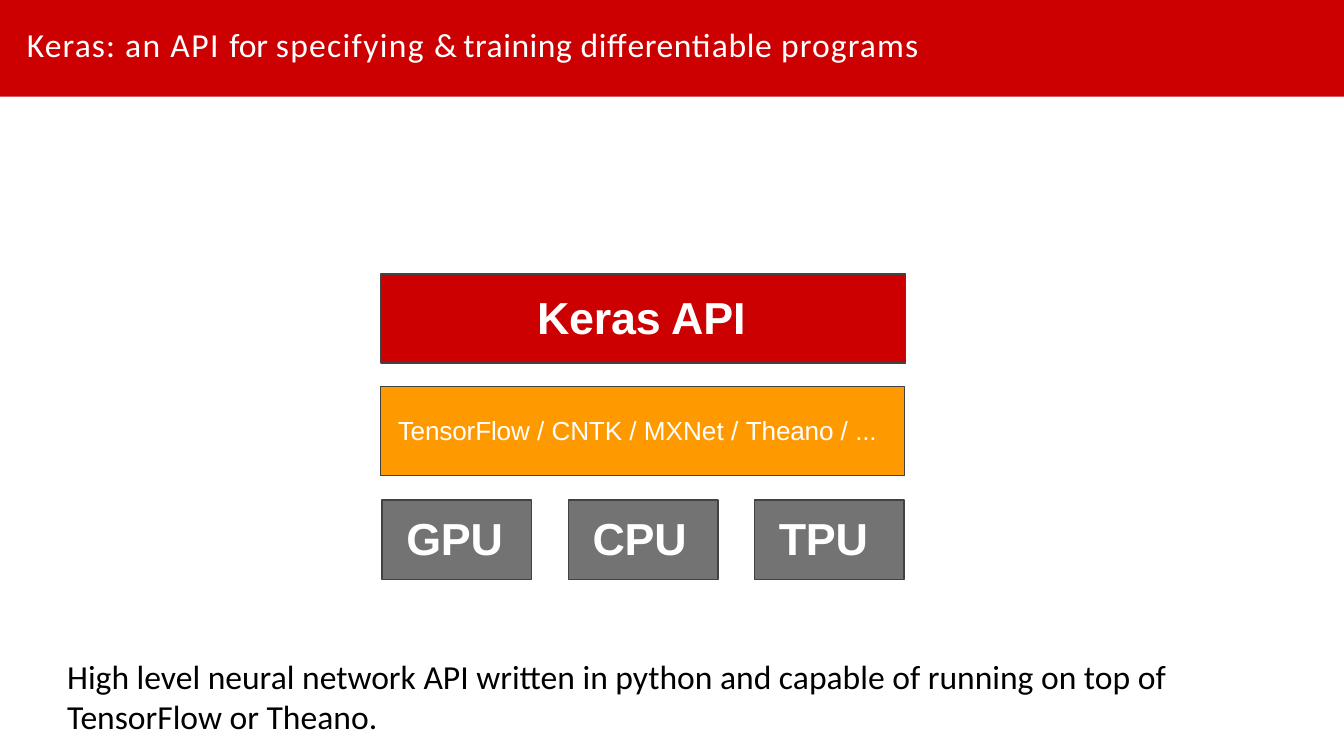
from dataclasses import dataclass

import pptx
import pptx.dml.color
import pptx.enum.shapes
import pptx.enum.text
import pptx.util
from pptx.util import Cm

COLORS = {
    "red": "CC0000",
    "orange": "FF9900",
    "gray": "737373",
    "outline": "424242",
    "white": "FFFFFF",
    "black": "000000",
}


@dataclass
class Block:
    """One box of the stack; lengths in cm, runs as (text, letter spacing in pt)."""
    runs: list
    left: float
    top: float
    width: float
    height: float
    color: str
    indent: float
    inset_top: float
    size: int = 24
    bold: bool = True


def rgb(name: str) -> pptx.dml.color.RGBColor:
    return pptx.dml.color.RGBColor.from_string(COLORS[name])


def write(shape, runs: list, *, size: int, font: str, color: str = "white",
          bold: bool = False, left: float = 0, top: float = 0, grow: bool = True) -> None:
    frame = shape.text_frame
    frame.word_wrap = True
    kinds = pptx.enum.text.MSO_AUTO_SIZE
    frame.auto_size = kinds.SHAPE_TO_FIT_TEXT if grow else kinds.NONE
    frame.vertical_anchor = pptx.enum.text.MSO_ANCHOR.TOP
    frame.margin_left, frame.margin_top = Cm(left), Cm(top)
    frame.margin_right = frame.margin_bottom = 0
    paragraph = frame.paragraphs[0]
    paragraph.alignment = pptx.enum.text.PP_ALIGN.LEFT
    for text, spacing in runs:
        run = paragraph.add_run()
        run.text = text
        run.font.size = pptx.util.Pt(size)
        run.font.name = font
        run.font.bold = bold
        run.font.color.rgb = rgb(color)
        run._r.get_or_add_rPr().set("spc", str(round(spacing * 100)))


def add_box(slide, left: float, top: float, width: float, height: float,
            color: str, outlined: bool = False):
    box = slide.shapes.add_shape(pptx.enum.shapes.MSO_SHAPE.RECTANGLE,
                                 Cm(left), Cm(top), Cm(width), Cm(height))
    box.shadow.inherit = False
    box.fill.solid()
    box.fill.fore_color.rgb = rgb(color)
    if outlined:
        box.line.color.rgb = rgb("outline")
        box.line.width = pptx.util.Pt(0.75)
    else:
        box.line.fill.background()
    return box


def add_block(slide, block: Block) -> None:
    box = add_box(slide, block.left, block.top, block.width, block.height,
                  block.color, outlined=True)
    write(box, block.runs, size=block.size, font="Arial", bold=block.bold,
          left=block.indent, top=block.inset_top)


def main() -> None:
    deck = pptx.Presentation()
    deck.slide_width, deck.slide_height = Cm(25.4), Cm(14.29)
    slide = deck.slides.add_slide(deck.slide_layouts[5])

    # Header band, placed behind the title
    title = slide.shapes.title
    band = add_box(slide, 0, 0, 25.4, 1.83, "red")
    title.element.addprevious(band.element)
    title.left, title.top, title.width, title.height = Cm(0.48), Cm(0.43), Cm(17.12), Cm(0.84)
    write(title, [("Keras: ", 0.6), ("an ", 0.7), ("API ", 0.8), ("for ", 0),
                  ("specifying ", 0.7), ("& ", -0.8),
                  ("training differentiable ", 0.3), ("programs", 0.6)],
          size=18, font="Calibri", left=0.03, top=0.03)

    # Caption
    caption = add_box(slide, 1.27, 12.4, 22.86, 1.89, "white")
    write(caption, [("High level neural network API written in python and capable of "
                     "running on top of TensorFlow or Theano.", 0)],
          size=18, font="Calibri", color="black", grow=False)

    # Stack: hardware, backends, API
    hardware_pitch = 3.52
    for column, name in enumerate(("GPU", "CPU", "TPU")):
        add_block(slide, Block([(name, -0.1)], 7.22 + column * hardware_pitch, 9.45,
                               2.83, 1.51, "gray", indent=0.46, inset_top=0.2))
    backends = [("TensorFlow ", -0.1), ("/ ", 0), ("CNTK ", -0.1), ("/ MXNet / ", 0),
                ("Theano ", -0.1), ("/ ", 0), ("...", -0.1)]
    add_block(slide, Block(backends, 7.19, 7.31, 9.91, 1.68, "orange",
                           indent=0.33, inset_top=0.53, size=14, bold=False))
    add_block(slide, Block([("Keras API", -0.1)], 7.2, 5.18, 9.91, 1.68, "red",
                           indent=2.95, inset_top=0.3))

    deck.save("out.pptx")


if __name__ == "__main__":
    main()
